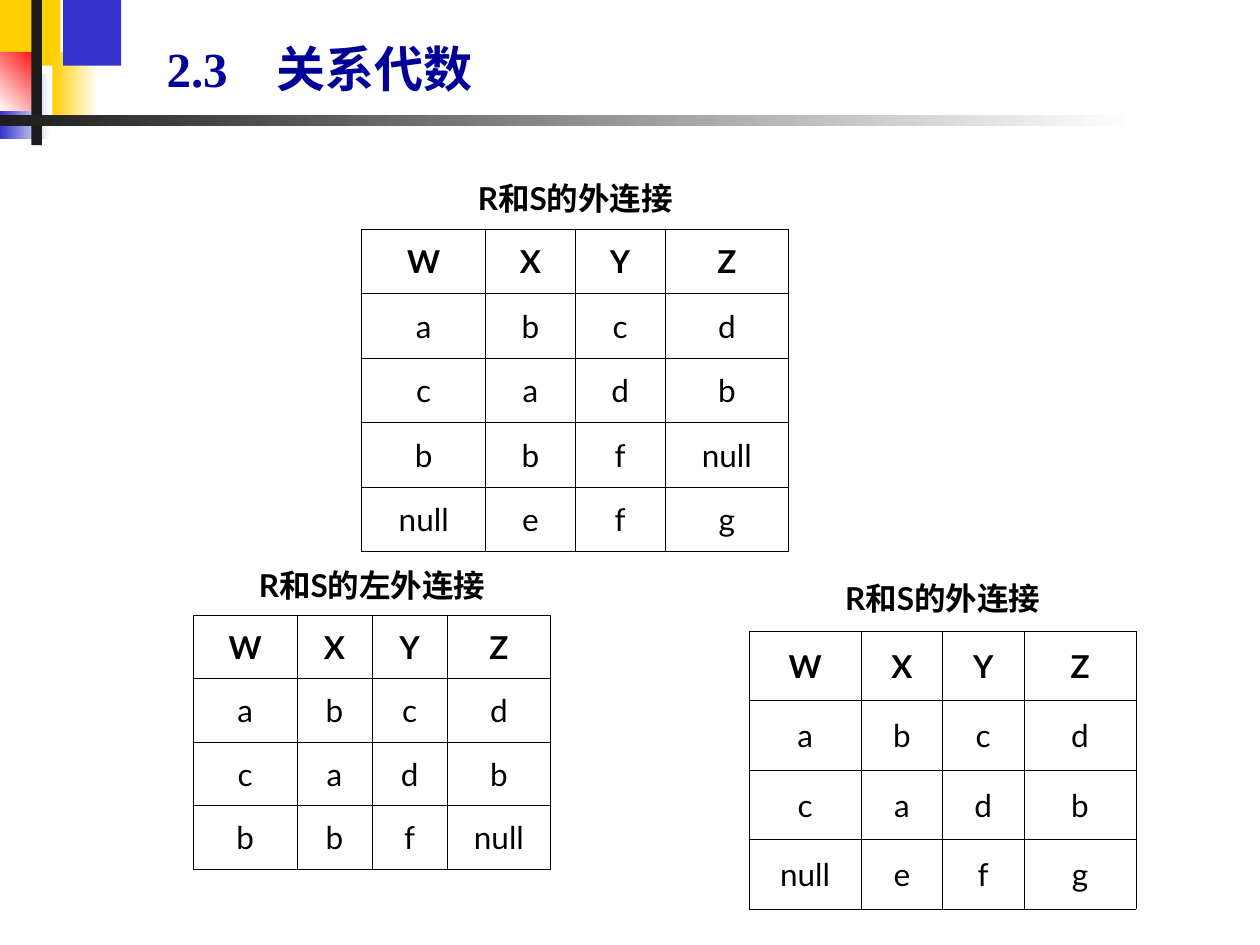
import dataclasses

import lxml.etree
import pptx
import pptx.dml.color
import pptx.enum.shapes
import pptx.enum.text
import pptx.oxml.ns
import pptx.util

Pt = pptx.util.Pt


@dataclasses.dataclass(frozen=True)
class Theme:
    yellow: str = "FFCF01"
    blue: str = "3333CC"
    red: str = "FF0000"
    dark: str = "1C1C1C"
    white: str = "FFFFFF"
    heading: str = "000099"
    ink: str = "000000"
    heading_font: str = "Times New Roman"
    table_font: str = "Lato"
    heading_size: float = 28
    table_size: float = 18
    rule_width: float = 0.45


THEME = Theme()
COLUMN_SHARES = (0.29, 0.21, 0.21, 0.29)
HEADER = ("W", "X", "Y", "Z")
MATCHED = [("a", "b", "c", "d"), ("c", "a", "d", "b")]
LEFT_ONLY = ("b", "b", "f", "null")
RIGHT_ONLY = ("null", "e", "f", "g")


def rgb(colour):
    return pptx.dml.color.RGBColor.from_string(colour)


def style_paragraph(para, font_name, size, colour, bold, alignment):
    para.alignment = alignment
    for span in para.runs:
        span.font.name = font_name
        span.font.size = Pt(size)
        span.font.bold = bold
        span.font.color.rgb = rgb(colour)


def add_block(page, left, top, width, height, start, end=None, angle=0):
    block = page.shapes.add_shape(
        pptx.enum.shapes.MSO_SHAPE.RECTANGLE, Pt(left), Pt(top), Pt(width), Pt(height)
    )
    block.shadow.inherit = False
    block.line.fill.background()
    if end is None:
        block.fill.solid()
        block.fill.fore_color.rgb = rgb(start)
        return
    block.fill.gradient()
    block.fill.gradient_angle = angle
    for stop, colour in zip(block.fill.gradient_stops, (start, end)):
        stop.color.rgb = rgb(colour)


def add_decoration(page):
    add_block(page, 0, 0, 34.5, 37.5, THEME.yellow)
    add_block(page, 30, 30, 26, 37.5, THEME.yellow, THEME.white)
    add_block(page, 36, 0, 33.25, 37.5, THEME.blue)
    add_block(page, 0, 42, 28.5, 37.5, THEME.blue, THEME.white)
    add_block(page, 0, 30, 24, 33.25, THEME.white, THEME.red, 45)
    add_block(page, 18, 0, 6, 83, THEME.dark)
    add_block(page, 0, 66, 648, 6, THEME.dark, THEME.white)


def set_title(page, text):
    title = page.shapes.title
    title.left, title.top, title.width, title.height = Pt(88), Pt(0), Pt(342), Pt(59.5)
    title.text_frame.text = text
    title.text_frame.vertical_anchor = pptx.enum.text.MSO_ANCHOR.BOTTOM
    style_paragraph(
        title.text_frame.paragraphs[0], THEME.heading_font, THEME.heading_size,
        THEME.heading, True, pptx.enum.text.PP_ALIGN.LEFT,
    )


def set_borders(cell, visible_sides):
    qn = pptx.oxml.ns.qn
    properties = cell._tc.get_or_add_tcPr()
    for side in "LRTB":
        line = lxml.etree.SubElement(properties, qn(f"a:ln{side}"), w=str(Pt(THEME.rule_width)))
        if side in visible_sides:
            fill = lxml.etree.SubElement(line, qn("a:solidFill"))
            lxml.etree.SubElement(fill, qn("a:srgbClr"), val=THEME.ink)
        else:
            lxml.etree.SubElement(line, qn("a:noFill"))


def format_cell(cell, text, bold, visible_sides="LRTB"):
    set_borders(cell, visible_sides)
    cell.fill.background()
    cell.vertical_anchor = pptx.enum.text.MSO_ANCHOR.MIDDLE
    cell.text_frame.text = text
    style_paragraph(
        cell.text_frame.paragraphs[0], THEME.table_font, THEME.table_size,
        THEME.ink, bold, pptx.enum.text.PP_ALIGN.CENTER,
    )


def add_relation(page, left, top, width, row_height, caption, records):
    rows = [HEADER, *records]
    row_count = len(rows) + 1
    table = page.shapes.add_table(
        row_count, len(HEADER), Pt(left), Pt(top), Pt(width), Pt(row_height * row_count)
    ).table
    table.first_row = False
    table.horz_banding = False
    for column, share in zip(table.columns, COLUMN_SHARES):
        column.width = Pt(width * share)
    for row in table.rows:
        row.height = Pt(row_height)
    for index in range(len(HEADER)):
        format_cell(table.cell(0, index), caption if index == 0 else "", True, "B")
    table.cell(0, 0).merge(table.cell(0, len(HEADER) - 1))
    for row_index, values in enumerate(rows, start=1):
        for column_index, value in enumerate(values):
            format_cell(table.cell(row_index, column_index), value, row_index == 1)


def main():
    deck = pptx.Presentation()
    deck.slide_width, deck.slide_height = Pt(720), Pt(540)
    page = deck.slides.add_slide(deck.slide_layouts[5])
    add_decoration(page)
    set_title(page, "2.3　关系代数")
    add_relation(page, 206.75, 94.25, 244, 36.85, "R和S的外连接", [*MATCHED, LEFT_ONLY, RIGHT_ONLY])
    add_relation(page, 110.5, 315.25, 204.25, 36.3, "R和S的左外连接", [*MATCHED, LEFT_ONLY])
    add_relation(page, 428, 321, 221.25, 39.7, "R和S的外连接", [*MATCHED, RIGHT_ONLY])
    deck.save("out.pptx")


if __name__ == "__main__":
    main()
